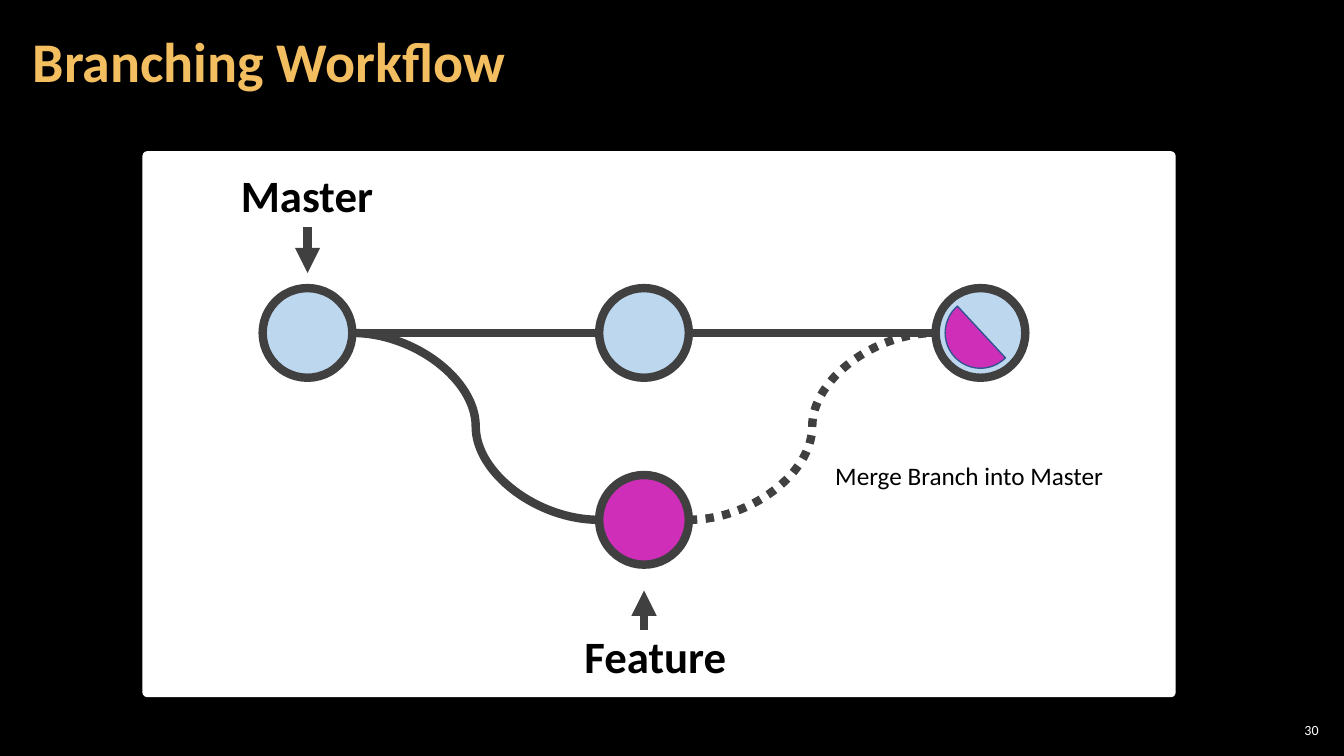
from lxml import etree
from pptx import Presentation
from pptx.dml.color import RGBColor
from pptx.enum.dml import MSO_LINE
from pptx.enum.shapes import MSO_CONNECTOR, MSO_SHAPE
from pptx.enum.text import MSO_ANCHOR, PP_ALIGN
from pptx.oxml.ns import qn
from pptx.util import Cm, Pt

STRAIGHT, CURVE = MSO_CONNECTOR.STRAIGHT, MSO_CONNECTOR.CURVE
PANEL, CIRCLE, CHORD = MSO_SHAPE.ROUNDED_RECTANGLE, MSO_SHAPE.OVAL, MSO_SHAPE.CHORD
DOTTED = MSO_LINE.ROUND_DOT
MIDDLE, TOP = MSO_ANCHOR.MIDDLE, MSO_ANCHOR.TOP
LEFT, RIGHT = PP_ALIGN.LEFT, PP_ALIGN.RIGHT

BLACK, WHITE, GOLD = "000000", "FFFFFF", "F3BE60"
GREY, BLUE, MAGENTA, NAVY = "404040", "BDD7EE", "CF2FB8", "325491"


def color(hex_code):
    return RGBColor.from_string(hex_code)


class Diagram:
    font = "Calibri"
    stroke = 6

    def __init__(self, slide, background):
        self.slide = slide
        slide.background.fill.solid()
        slide.background.fill.fore_color.rgb = color(background)

    def shape(self, kind, left, top, width, height, fill,
              outline=None, weight=stroke, adjustments=()):
        shape = self.slide.shapes.add_shape(
            kind, Cm(left), Cm(top), Cm(width), Cm(height))
        shape.shadow.inherit = False
        shape.fill.solid()
        shape.fill.fore_color.rgb = color(fill)
        if outline:
            shape.line.color.rgb = color(outline)
            shape.line.width = Pt(weight)
        else:
            shape.line.fill.background()
        for index, value in enumerate(adjustments):
            shape.adjustments[index] = value

    def commit(self, x, y, fill):
        self.shape(CIRCLE, x - RADIUS, y - RADIUS, 2 * RADIUS, 2 * RADIUS, fill, GREY)

    def link(self, kind, start, end, dash=None, arrow=False):
        link = self.slide.shapes.add_connector(
            kind, *(Cm(value) for value in (*start, *end)))
        link.line.color.rgb = color(GREY)
        link.line.width = Pt(self.stroke)
        if dash:
            link.line.dash_style = dash
        properties = link.element.spPr
        if arrow:
            outline = properties.find(qn("a:ln"))
            etree.SubElement(outline, qn("a:tailEnd"), type="triangle")
        etree.SubElement(properties, qn("a:effectLst"))

    def text(self, wording, left, top, width, height, size, hex_code, bold=False,
             wrap=False, anchor=TOP, align=LEFT, side=0.25, edge=0.13, spacing=1.0):
        box = self.slide.shapes.add_textbox(Cm(left), Cm(top), Cm(width), Cm(height))
        frame = box.text_frame
        frame.text = wording
        frame.word_wrap = wrap
        frame.vertical_anchor = anchor
        frame.margin_left = frame.margin_right = Cm(side)
        frame.margin_top = frame.margin_bottom = Cm(edge)
        paragraph = frame.paragraphs[0]
        paragraph.alignment = align
        paragraph.line_spacing = spacing
        font = paragraph.runs[0].font
        font.name, font.size, font.bold = self.font, Pt(size), bold
        font.color.rgb = color(hex_code)


# Commit grid, in centimetres
RADIUS = 1.13
FIRST_X, STEP_X = 7.75, 8.48
start_x, middle_x, merge_x = (FIRST_X + STEP_X * column for column in range(3))
master_y, feature_y = 8.39, 13.1

presentation = Presentation()
presentation.slide_width, presentation.slide_height = Cm(33.87), Cm(19.05)
diagram = Diagram(presentation.slides.add_slide(presentation.slide_layouts[6]), BLACK)

# Panel, page number and title
diagram.shape(PANEL, 3.59, 3.81, 26.04, 13.76, WHITE, adjustments=[0.009])
diagram.text("30", 32.13, 18.14, 1.2, 0.53, 10, WHITE, wrap=True,
             anchor=MIDDLE, align=RIGHT, side=0.1, edge=0.1)
diagram.text("Branching Workflow", 0.53, 0.1, 26.6, 3.07, 40, GOLD, bold=True,
             wrap=True, anchor=MIDDLE, side=0.3, edge=0.1, spacing=0.9)

# Master line
for left_x, right_x in ((start_x, middle_x), (middle_x, merge_x)):
    diagram.link(STRAIGHT, (left_x + RADIUS, master_y), (right_x - RADIUS, master_y))

# Feature branch and its merge
diagram.link(CURVE, (start_x + RADIUS, master_y), (middle_x - RADIUS, feature_y))
diagram.link(CURVE, (middle_x + RADIUS, feature_y), (merge_x - RADIUS, master_y),
             dash=DOTTED)

# Commits, with the merged part inside the last one
for commit_x in (start_x, middle_x, merge_x):
    diagram.commit(commit_x, master_y, BLUE)
diagram.commit(middle_x, feature_y, MAGENTA)
merged_radius = 0.89
diagram.shape(CHORD, merge_x - merged_radius, master_y - merged_radius,
              2 * merged_radius, 2 * merged_radius, MAGENTA, NAVY, 1, [27, 137.55])

# Branch pointers and labels
diagram.link(STRAIGHT, (start_x, 5.72), (start_x, 6.88), arrow=True)
diagram.link(STRAIGHT, (middle_x, 15.88), (middle_x, 14.88), arrow=True)
diagram.text("Master", 5.82, 4.09, 3.89, 1.63, 32, BLACK, bold=True)
diagram.text("Feature", 14.48, 15.72, 4.11, 1.63, 32, BLACK, bold=True)
diagram.text("Merge Branch into Master", 20.8, 11.46, 7.34, 1.02, 18, BLACK)

presentation.save("out.pptx")
